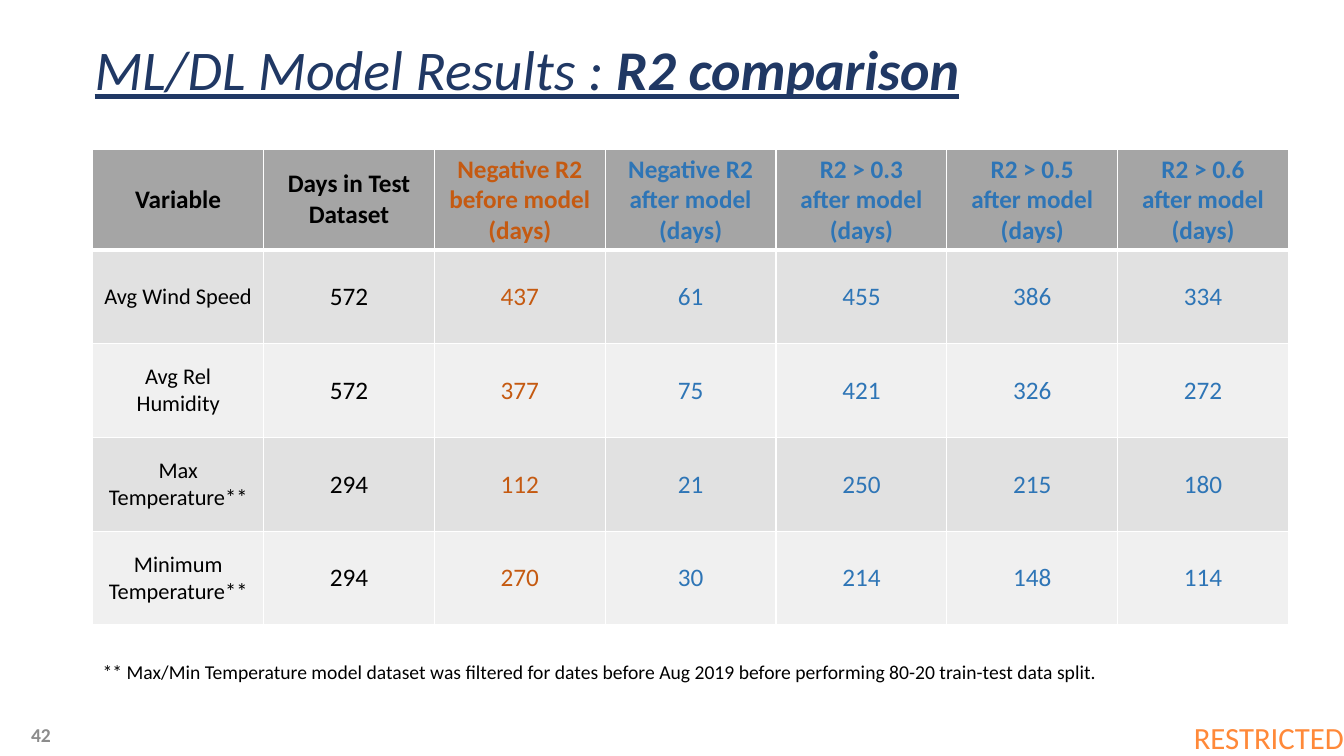
from lxml.etree import SubElement
from pptx import Presentation
from pptx.dml.color import RGBColor
from pptx.enum.text import MSO_ANCHOR, PP_ALIGN
from pptx.oxml.ns import qn
from pptx.util import Inches, Pt

COLORS = {
    "title": "203864", "restricted": "FF8939", "number": "8C8C8C",
    "text": "000000", "before": "C55A11", "after": "2E75B6",
    "header": "A5A5A5", "odd": "E1E1E1", "even": "F0F0F0", "border": "FFFFFF",
}
AFTER = "after model\n(days)"
HEADERS = ["Variable", "Days in Test Dataset", "Negative R2\nbefore model\n(days)"]
HEADERS += [f"{measure}\n{AFTER}"
            for measure in ("Negative R2", "R2 > 0.3", "R2 > 0.5", "R2 > 0.6")]
RESULTS = [
    ("Avg Wind Speed", 572, 437, 61, 455, 386, 334),
    ("Avg Rel Humidity", 572, 377, 75, 421, 326, 272),
    ("Max Temperature**", 294, 112, 21, 250, 215, 180),
    ("Minimum Temperature**", 294, 270, 30, 214, 148, 114),
]
COLUMN_COLORS = ["text", "text", "before"] + ["after"] * 4
HEADER_HEIGHT = 0.99


def style(p, size, color, bold=None):
    p.font.name = "Calibri"
    p.font.size = Pt(size)
    p.font.bold = bold
    p.font.color.rgb = RGBColor.from_string(COLORS[color])


def add_text(slide, box, runs, size, color, bold=None, anchor=MSO_ANCHOR.TOP):
    tf = slide.shapes.add_textbox(*map(Inches, box)).text_frame
    tf.word_wrap = True
    tf.vertical_anchor = anchor
    p = tf.paragraphs[0]
    for text in runs:
        p.add_run().text = text
    style(p, size, color, bold)
    return tf


def add_title(slide, box):
    tf = add_text(slide, box, ["ML/DL Model Results : ", "R2 comparison"],
                  40, "title", anchor=MSO_ANCHOR.MIDDLE)
    p = tf.paragraphs[0]
    p.line_spacing = 0.9
    p.font.italic = p.font.underline = True
    p.runs[1].font.bold = True


def set_borders(cell, bottom, top):
    tcPr = cell._tc.get_or_add_tcPr()
    widths = {"a:lnL": 1, "a:lnR": 1, "a:lnT": top, "a:lnB": bottom}
    for i, (tag, width) in enumerate(widths.items()):
        ln = SubElement(tcPr, qn(tag), w=str(Pt(width)))
        fill = SubElement(ln, qn("a:solidFill"))
        SubElement(fill, qn("a:srgbClr"), val=COLORS["border"])
        tcPr.insert(i, ln)  # borders precede the cell fill


def fill_cell(cell, row, col, value):
    cell.vertical_anchor = MSO_ANCHOR.MIDDLE
    cell.fill.solid()
    shade = "header" if row == 0 else "odd" if row % 2 else "even"
    cell.fill.fore_color.rgb = RGBColor.from_string(COLORS[shade])
    cell.text_frame.text = str(value)
    size = 16 if row and col == 0 else 18
    for p in cell.text_frame.paragraphs:
        p.alignment = PP_ALIGN.CENTER
        style(p, size, COLUMN_COLORS[col], row == 0)
    set_borders(cell, bottom=3 if row == 0 else 1, top=3 if row == 1 else 1)


def add_results_table(slide, box):
    rows = [HEADERS, *RESULTS]
    left, top, width, height = map(Inches, box)
    table = slide.shapes.add_table(len(rows), len(HEADERS),
                                   left, top, width, height).table
    for column in table.columns:
        column.width = width // len(HEADERS)
    header_height = Inches(HEADER_HEIGHT)
    for r, values in enumerate(rows):
        table.rows[r].height = (
            (height - header_height) // len(RESULTS) if r else header_height)
        for c, value in enumerate(values):
            fill_cell(table.cell(r, c), r, c, value)


def add_footer(slide, box):
    left, top, width, height = box
    # Page number on the left, classification on the right
    add_text(slide, (left + 0.21, top, 3, height), ["42"], 14, "number",
             bold=True, anchor=MSO_ANCHOR.MIDDLE)
    tf = add_text(slide, (left + width - 1.49, top + 0.04, 1.57, 0.37),
                  ["RESTRICTED"], 22, "restricted")
    tf.margin_left = tf.margin_right = tf.margin_top = tf.margin_bottom = 0


def main():
    prs = Presentation()
    prs.slide_width, prs.slide_height = Inches(13.33), Inches(7.5)
    slide = prs.slides.add_slide(prs.slide_layouts[6])
    add_title(slide, (0.84, 0.32, 10, 0.8))
    add_results_table(slide, (0.92, 1.48, 11.86, 4.71))
    # Footnote
    add_text(slide, (0.92, 6.5, 10.94, 0.34),
             ["** Max/Min Temperature model dataset was filtered for dates before "
              "Aug 2019 before performing 80-20 train-test data split."], 14, "text")
    add_footer(slide, (0, 7.09, 13.33, 0.4))
    prs.save("out.pptx")


if __name__ == "__main__":
    main()
